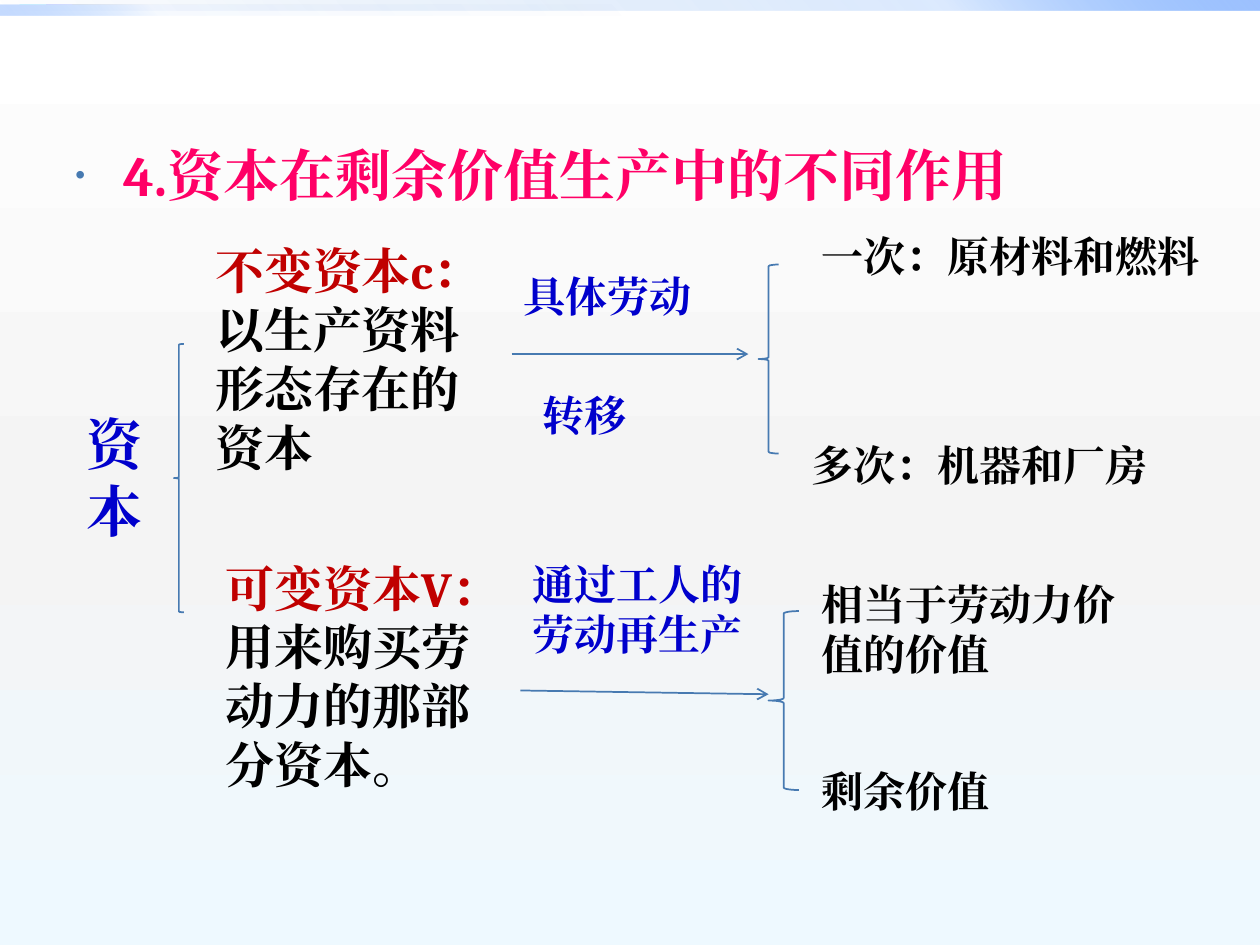
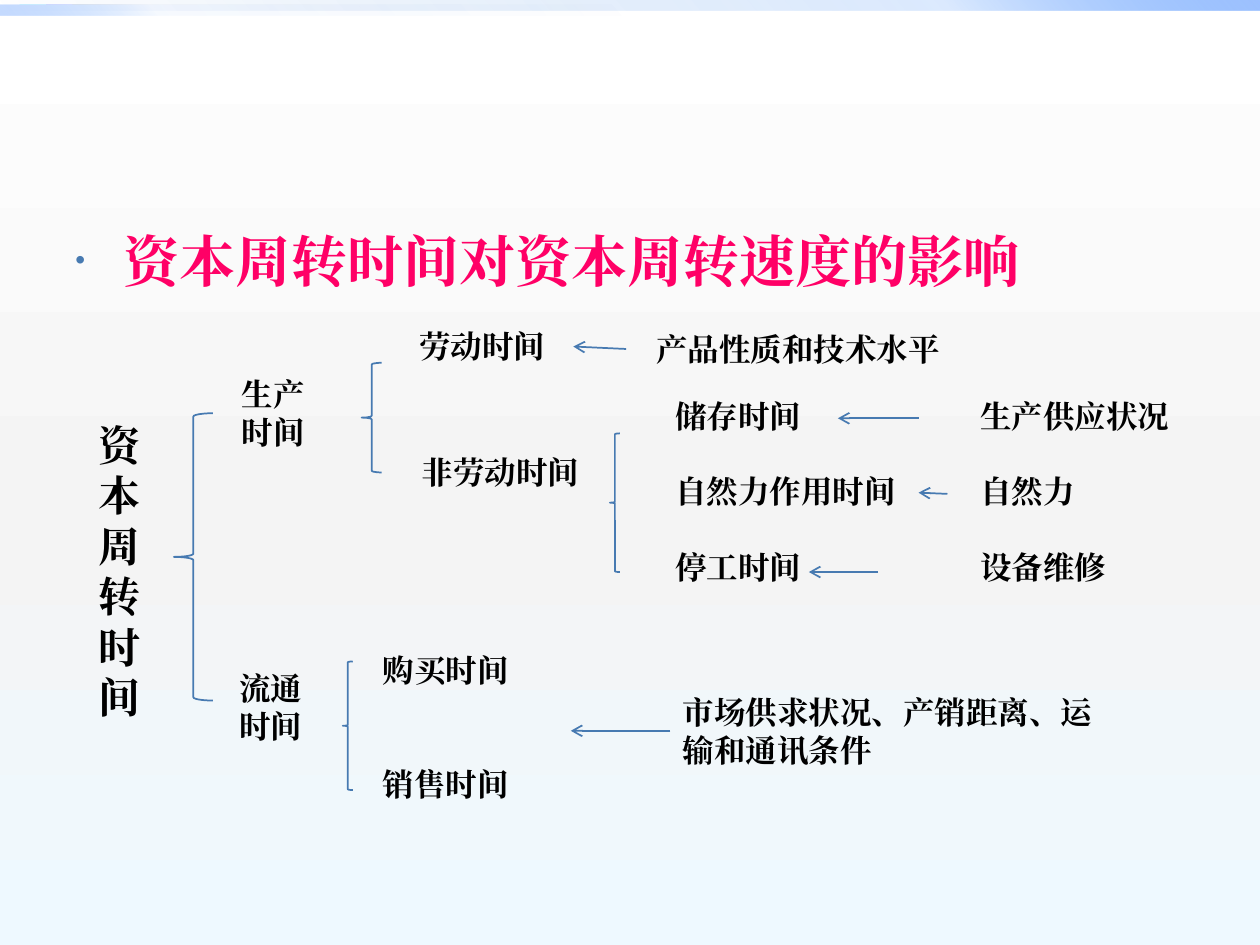
from dataclasses import dataclass
from lxml.etree import SubElement
from pptx import Presentation
from pptx.dml.color import RGBColor as Rgb
from pptx.enum.shapes import MSO_CONNECTOR as Conn, MSO_SHAPE as Kind
from pptx.oxml import parse_xml
from pptx.oxml.ns import qn
from pptx.util import Inches, Pt


@dataclass(frozen=True)
class Theme:
    """Colours, type sizes and font of the deck."""
    font: str = "Cambria"
    pink: str = "FF0066"
    blue: str = "0000CC"
    red: str = "C00000"
    black: str = "000000"
    line: str = "477AB1"
    title: int = 32
    lead: int = 28
    body: int = 24
    small: int = 18
    # One empty line of small text, in points
    gap: float = 21.6
    # Gradient stops: position, colour, opacity
    back: tuple = ((0, "FFFFFF", 100), (55, "F4F4F4", 100),
                   (100, "EEF9FF", 100))
    band: tuple = ((0, "0058B7", 0), (75, "4F95FF", 20), (100, "9EC2FF", 100))
    glow: tuple = ((0, "0058B7", 0), (75, "4F95FF", 5), (100, "9EC2FF", 60))


T = Theme()
NS = 'xmlns:a="http://schemas.openxmlformats.org/drawingml/2006/main"'


def shift(box, x, y, w, h):
    """Return a box whose offset is taken from another box."""
    return box[0] + x, box[1] + y, w, h


def inch(vals):
    """Turn numbers into lengths."""
    return [Inches(v) for v in vals]


def shade(fill, stops, angle):
    """Give a fill a linear gradient with opacities."""
    fill.gradient()
    marks = "".join(
        f'<a:gs pos="{pos * 1000}"><a:srgbClr val="{tint}">'
        f'<a:alpha val="{part * 1000}"/></a:srgbClr></a:gs>'
        for pos, tint, part in stops)
    new = parse_xml(
        f'<a:gradFill {NS} rotWithShape="1"><a:gsLst>{marks}</a:gsLst>'
        f'<a:lin ang="{angle * 60000}" scaled="0"/></a:gradFill>')
    old = fill._xPr.find(qn("a:gradFill"))
    old.getparent().replace(old, new)


def write(slide, box, *paras, size=T.small, color=T.black, gap=0):
    """Write paragraphs; each is a string or a list of (text, colour)."""
    frame = slide.shapes.add_textbox(*inch(box)).text_frame
    frame.word_wrap = True
    for i, runs in enumerate(paras):
        para = frame.paragraphs[0] if i == 0 else frame.add_paragraph()
        if i and gap:
            para.space_before = Pt(gap)
        for text, tint in [(runs, color)] if isinstance(runs, str) else runs:
            run = para.add_run()
            run.text = text
            font = run.font
            font.name, font.size, font.bold = T.font, Pt(size), True
            font.color.rgb = Rgb.from_string(tint)
            SubElement(font._element, qn("a:ea")).set("typeface", T.font)
            font._element.set("lang", "zh-CN")
    return frame


def brace(slide, box):
    """Draw an opening brace."""
    shape = slide.shapes.add_shape(Kind.LEFT_BRACE, *inch(box))
    shape.shadow.inherit = False
    shape.fill.background()
    shape.line.color.rgb = Rgb.from_string(T.line)
    shape.line.width = Pt(1)


def arrow(slide, box, x, y, dx, dy=0):
    """Draw an arrow from an offset in the box along (dx, dy)."""
    x, y = box[0] + x, box[1] + y
    link = slide.shapes.add_connector(
        Conn.STRAIGHT, *inch((x, y, x + dx, y + dy)))
    link.line.color.rgb = Rgb.from_string(T.line)
    link.line.width = Pt(1)
    SubElement(link.line._get_or_add_ln(), qn("a:tailEnd")).set("type", "arrow")
    SubElement(link._element.spPr, qn("a:effectLst"))


def base(deck):
    """Add a slide with the shared background and top bands."""
    slide = deck.slides.add_slide(deck.slide_layouts[6])
    shade(slide.background.fill, T.back, 90)
    for box, stops, angle in (((0, 0, 10, 0.08), T.band, 315),
                              ((0, 0.04, 5, 0.08), T.glow, 135)):
        shape = slide.shapes.add_shape(Kind.RECTANGLE, *inch(box))
        shape.shadow.inherit = False
        shape.line.fill.background()
        shade(shape.fill, stops, angle)
    return slide


def head(slide, box, text):
    """Write the bulleted slide title."""
    frame = write(slide, box, text, size=T.title, color=T.pink)
    props = frame.paragraphs[0]._p.get_or_add_pPr()
    props.set("marL", str(Inches(0.38)))
    props.set("indent", str(Inches(-0.38)))
    tint = SubElement(SubElement(props, qn("a:buClr")), qn("a:srgbClr"))
    tint.set("val", T.line)
    SubElement(props, qn("a:buSzPct")).set("val", "50000")
    SubElement(props, qn("a:buFont")).set("typeface", "Arial")
    SubElement(props, qn("a:buChar")).set("char", "•")


def branch(slide, box, name, text, wide, notes, path, fork, ends):
    """Draw one kind of capital: meaning, labelled arrow, brace, two ends."""
    write(slide, shift(box, 0, 0, wide, 1.99),
          [(name, T.red), (text, T.black)], size=T.lead)
    arrow(slide, box, *path)
    for note, spot in notes:
        write(slide, shift(box, *spot), note, size=T.body, color=T.blue)
    brace(slide, shift(box, *fork))
    for end, spot in ends:
        write(slide, shift(box, *spot), end, size=T.body)


def make(slide, box):
    """Draw the production time tree."""
    write(slide, shift(box, 0, 0.38, 0.89, 0.71), "生产时间")
    brace(slide, shift(box, 1.05, 0.33, 0.16, 0.87))
    write(slide, shift(box, 1.41, 0, 1.32, 0.4), "劳动时间")
    write(slide, shift(box, 1.43, 1, 1.57, 0.4), "非劳动时间")
    write(slide, shift(box, 3.29, 0.02, 2.57, 0.4), "产品性质和技术水平")
    brace(slide, shift(box, 3.02, 0.89, 0.08, 1.1))
    write(slide, shift(box, 3.44, 0.55, 2.03, 1.61),
          "储存时间", "自然力作用时间", "停工时间", gap=T.gap)
    write(slide, shift(box, 5.86, 0.55, 1.97, 1.61),
          "生产供应状况", "自然力", "设备维修", gap=T.gap)
    for path in ((3.15, 0.22, -0.42, -0.02), (5.47, 0.77, -0.64),
                 (5.7, 1.37, -0.23, -0.01), (5.15, 1.99, -0.55)):
        arrow(slide, box, *path)


def trade(slide, box):
    """Draw the circulation time tree."""
    write(slide, shift(box, 0, 0.14, 0.83, 0.71), "流通时间")
    brace(slide, shift(box, 0.92, 0.13, 0.08, 1.02))
    write(slide, shift(box, 1.14, 0, 1.43, 1.31),
          "购买时间", "销售时间", gap=2 * T.gap)
    arrow(slide, box, 3.52, 0.68, -0.79)
    write(slide, shift(box, 3.52, 0.33, 3.61, 0.71),
          "市场供求状况、产销距离、运输和通讯条件")


def roles(deck):
    """Build the slide on the roles of capital."""
    slide = base(deck)
    head(slide, (0.5, 1.07, 9, 0.63), "4.资本在剩余价值生产中的不同作用")
    write(slide, (0.59, 3.2, 0.79, 1.18), "资本", size=T.title, color=T.blue)
    brace(slide, (1.38, 2.73, 0.08, 2.13))
    branch(slide, (1.61, 1.86, 8.04, 2.08),
           "不变资本c：", "以生产资料形态存在的资本", 2.36,
           [("具体劳动", (2.45, 0.24, 1.89, 0.5)),
            ("转移", (2.6, 1.18, 1.57, 0.5))],
           (2.45, 0.95, 1.88), (4.41, 0.24, 0.16, 1.5),
           [("一次：原材料和燃料", (4.81, -0.08, 3.23, 0.5)),
            ("多次：机器和厂房", (4.73, 1.58, 3.31, 0.5))])
    branch(slide, (1.69, 4.38, 7.56, 2.15),
           "可变资本V：", "用来购买劳动力的那部分资本。", 2.44,
           [("通过工人的劳动再生产", (2.44, 0, 1.89, 0.91))],
           (2.44, 1.1, 1.97, 0.03), (4.41, 0.47, 0.24, 1.42),
           [("相当于劳动力价值的价值", (4.73, 0.16, 2.83, 0.91)),
            ("剩余价值", (4.73, 1.65, 2.6, 0.5))])


def times(deck):
    """Build the slide on turnover time."""
    slide = base(deck)
    head(slide, (0.5, 1.75, 9, 0.71), "资本周转时间对资本周转速度的影响")
    write(slide, (0.68, 3.28, 0.71, 2.52), "资本周转", "时间", size=T.body)
    brace(slide, (1.38, 3.28, 0.31, 2.28))
    make(slide, (1.82, 2.55, 7.83, 2.16))
    trade(slide, (1.8, 5.12, 7.13, 1.31))


deck = Presentation()
deck.slide_width, deck.slide_height = inch((10, 7.5))
roles(deck)
times(deck)
deck.save("out.pptx")
